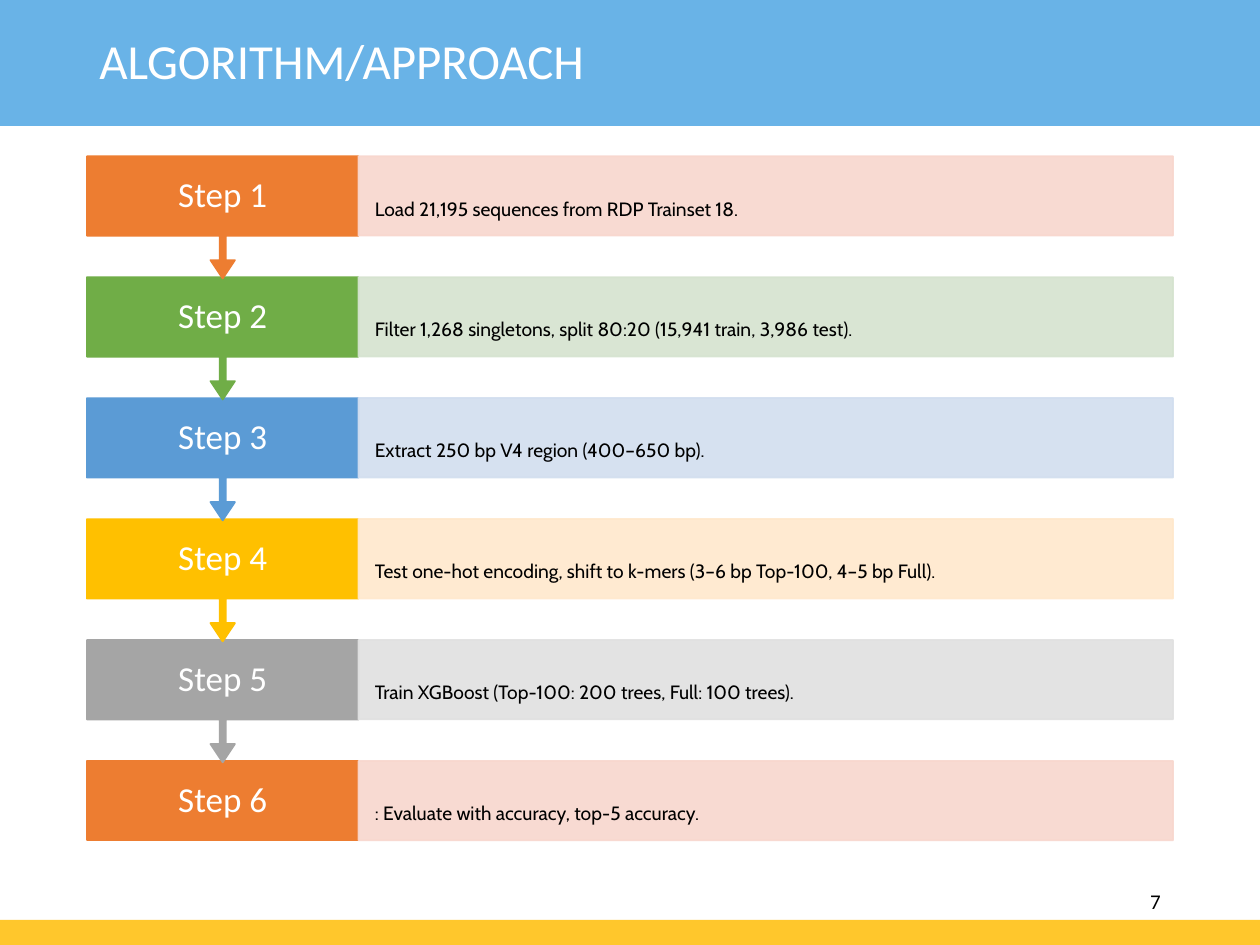
"""Build the six-step algorithm slide."""
from lxml import etree
from pptx import Presentation
from pptx.dml.color import RGBColor
from pptx.enum.shapes import MSO_SHAPE
from pptx.enum.text import MSO_ANCHOR, PP_ALIGN
from pptx.oxml.ns import qn
from pptx.util import Inches, Pt

RECTANGLE, CALLOUT = MSO_SHAPE.RECTANGLE, MSO_SHAPE.UP_ARROW_CALLOUT
MIDDLE = MSO_ANCHOR.MIDDLE
LEFT, CENTER, RIGHT = PP_ALIGN.LEFT, PP_ALIGN.CENTER, PP_ALIGN.RIGHT

TITLE = "ALGORITHM/APPROACH"
PAGE = "7"
STEPS = [
    ("Load 21,195 sequences from RDP Trainset 18.", "ED7D31", "F8D7CE"),
    ("Filter 1,268 singletons, split 80:20 (15,941 train, 3,986 test).", "70AD47", "D5E3CF"),
    ("Extract 250 bp V4 region (400–650 bp).", "5B9BD5", "D2DEEF"),
    ("Test one-hot encoding, shift to k-mers (3–6 bp Top-100, 4–5 bp Full).", "FFC000", "FFE8CC"),
    ("Train XGBoost (Top-100: 200 trees, Full: 100 trees).", "A5A5A5", "E1E1E1"),
    (": Evaluate with accuracy, top-5 accuracy.", "ED7D31", "F8D7CE"),
]
WIDTH, HEIGHT = 10, 7.5
MARGIN = 0.69
LABEL_WIDTH = (WIDTH - 2 * MARGIN) / 4
DETAIL_WIDTH = 3 * LABEL_WIDTH
FIRST_TOP, PITCH = 1.24, 0.96
ROW_HEIGHT, CALLOUT_HEIGHT = 0.63, 0.97
CALLOUT_SHARES = (0.05, 0.1, 0.15, 0.65)
FOOTER = 0.2

presentation = Presentation()
presentation.slide_width, presentation.slide_height = Inches(WIDTH), Inches(HEIGHT)
slide = presentation.slides.add_slide(presentation.slide_layouts[6])


def paint(color_format, color, opacity=100):
    color_format.rgb = RGBColor.from_string(color)
    return opacity


def add_block(kind, box, color, outlined=True, opacity=100):
    shape = slide.shapes.add_shape(kind, *map(Inches, box))
    shape.shadow.inherit = False
    shape.fill.solid()
    shape.fill.fore_color.rgb = RGBColor.from_string(color)
    if outlined:
        shape.line.color.rgb = RGBColor.from_string(color)
        shape.line.width = Pt(1)
    else:
        shape.line.fill.background()
    if opacity < 100:
        for element in shape._element.spPr.iter(qn("a:srgbClr")):
            etree.SubElement(element, qn("a:alpha")).set("val", str(opacity * 1000))
    return shape


def write(shape, text, size, color, font="Calibri", align=LEFT, spacing=1.0,
          insets=(0.1, 0.05, 0.1, 0.05)):
    frame = shape.text_frame
    frame.word_wrap = True
    frame.vertical_anchor = MIDDLE
    (frame.margin_left, frame.margin_top,
     frame.margin_right, frame.margin_bottom) = map(Inches, insets)
    paragraph = frame.paragraphs[0]
    paragraph.alignment = align
    paragraph.line_spacing = spacing
    run = paragraph.add_run()
    run.text = text
    run.font.size = Pt(size)
    run.font.name = font
    run.font.color.rgb = RGBColor.from_string(color)


def add_text(box, text, size, color, **text_format):
    write(slide.shapes.add_textbox(*map(Inches, box)), text, size, color, **text_format)


def add_step(index, detail, color, tint):
    top = FIRST_TOP + index * PITCH
    label_box = (MARGIN, top, LABEL_WIDTH, ROW_HEIGHT)
    if index == len(STEPS) - 1:
        add_block(RECTANGLE, label_box, color)
    else:
        callout = add_block(CALLOUT, (MARGIN, top, LABEL_WIDTH, CALLOUT_HEIGHT), color)
        callout.rotation = 180
        for position, share in enumerate(CALLOUT_SHARES):
            callout.adjustments[position] = share
    add_text(label_box, f"Step {index + 1}", 20, "FFFFFF", align=CENTER, spacing=0.9)
    detail_box = (MARGIN + LABEL_WIDTH, top, DETAIL_WIDTH, ROW_HEIGHT)
    bar = add_block(RECTANGLE, detail_box, tint, opacity=90)
    write(bar, detail, 11, "000000", font="Cabin", spacing=0.9,
          insets=(0.13, 0.28, 0.13, 0.06))


add_block(RECTANGLE, (0, 0, WIDTH, 1), "69B3E7", outlined=False)
add_block(RECTANGLE, (0, HEIGHT - FOOTER, WIDTH, FOOTER), "FFC72C", outlined=False)
add_text((MARGIN, 0.03, 7.15, 0.95), TITLE, 28, "FFFFFF", spacing=0.9)
for index in reversed(range(len(STEPS))):
    add_step(index, *STEPS[index])
add_text((WIDTH - MARGIN - 2.25, 6.95, 2.25, 0.4), PAGE, 12, "000000", align=RIGHT)

presentation.save("out.pptx")
